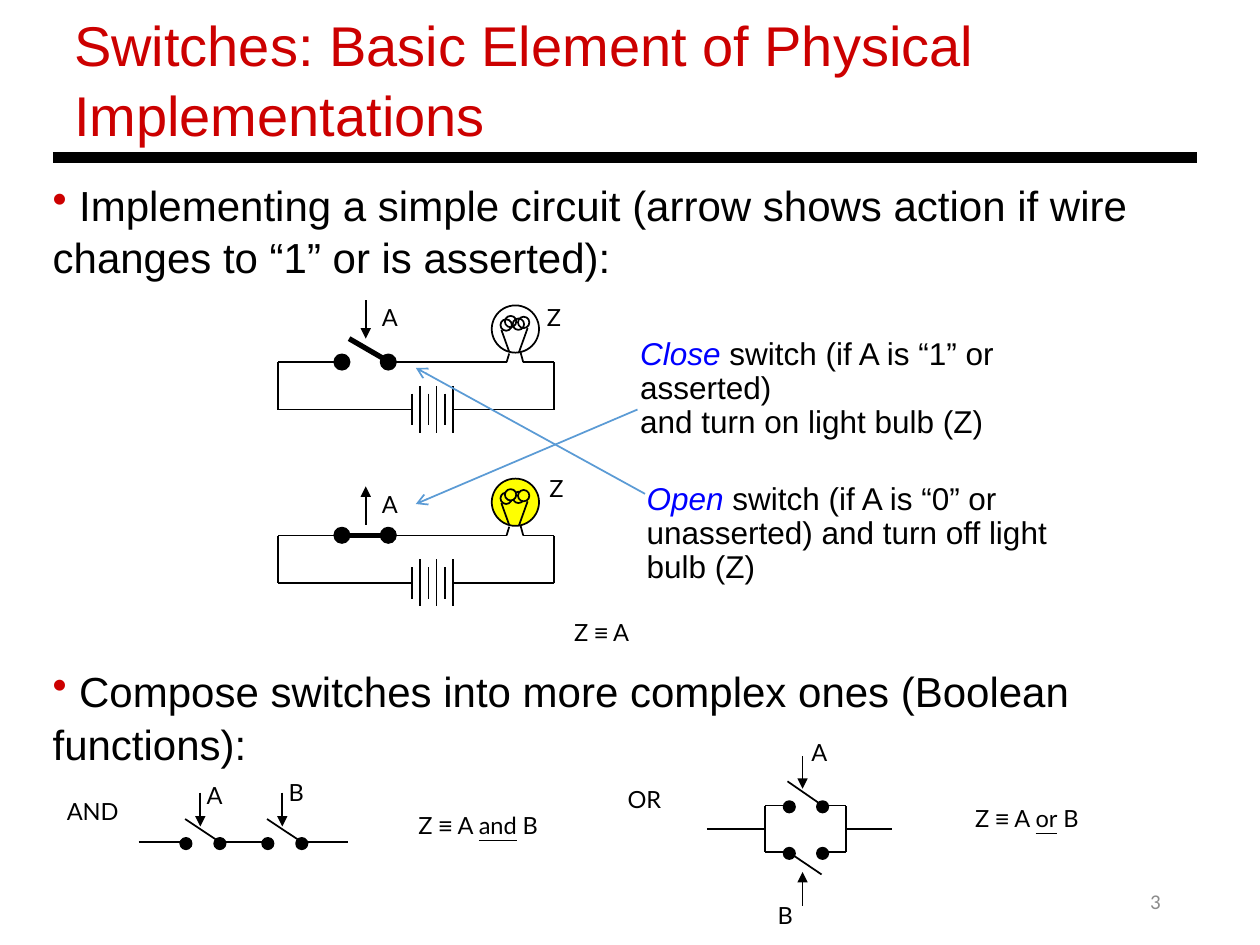
"""Build a slide on switches as the basic element of physical implementations."""
from lxml.etree import SubElement
from pptx import Presentation
from pptx.dml.color import RGBColor
from pptx.enum.shapes import MSO_CONNECTOR, MSO_SHAPE
from pptx.enum.text import MSO_ANCHOR, MSO_AUTO_SIZE, PP_ALIGN
from pptx.oxml.ns import qn
from pptx.util import Pt

BLACK = RGBColor(0x00, 0x00, 0x00)
WHITE = RGBColor(0xFF, 0xFF, 0xFF)
RED = RGBColor(0xCC, 0x00, 0x00)
BLUE = RGBColor(0x00, 0x00, 0xFF)
YELLOW = RGBColor(0xFF, 0xFF, 0x00)
GREY = RGBColor(0x8C, 0x8C, 0x8C)
ARROW_BLUE = RGBColor(0x5B, 0x9B, 0xD5)

INSETS = ("margin_left", "margin_top", "margin_right", "margin_bottom")
LABEL_FRAME = {"word_wrap": False, **dict.fromkeys(INSETS, Pt(1.5))}
FITTED_FRAME = {"word_wrap": True, "auto_size": MSO_AUTO_SIZE.SHAPE_TO_FIT_TEXT}
LABEL_LINE = {"line_spacing": Pt(19.5)}
LABEL_FONT = {"name": "Lato", "size": Pt(13.5)}
SIGN_FONT = {"name": "Arial", "size": Pt(13.5)}
NOTE_FONT = {"name": "Arial", "size": Pt(18)}


def set_values(target, values):
    """Set each named attribute of the target."""
    for name, value in values.items():
        setattr(target, name, value)


def add_line(shapes, start, stop, width=1, color=BLACK, **ends):
    """Draw a straight line, with head or tail arrow types if given."""
    line = shapes.add_connector(
        MSO_CONNECTOR.STRAIGHT, *(Pt(value) for value in (*start, *stop)))
    line.line.width = Pt(width)
    line.line.color.rgb = color
    properties = line._element.spPr
    outline = properties.find(qn("a:ln"))
    for end in ("head", "tail"):
        if end in ends:
            SubElement(outline, qn(f"a:{end}End"), type=ends[end])
    SubElement(properties, qn("a:effectLst"))


def add_circle(shapes, left, top, size, fill=None):
    """Draw an outlined circle, hollow when no fill is given."""
    circle = shapes.add_shape(MSO_SHAPE.OVAL, Pt(left), Pt(top), Pt(size), Pt(size))
    circle.shadow.inherit = False
    circle.line.color.rgb = BLACK
    circle.line.width = Pt(1)
    if fill is None:
        circle.fill.background()
    else:
        circle.fill.solid()
        circle.fill.fore_color.rgb = fill


def add_span(paragraph, text, font, color=BLACK):
    """Add one run of text, with a line break at each newline."""
    for index, part in enumerate(text.split("\n")):
        if index:
            paragraph.add_line_break()
        span = paragraph.add_run()
        span.text = part
        set_values(span.font, font)
        span.font.color.rgb = color


def add_text(shapes, area, spans, frame=LABEL_FRAME, layout=LABEL_LINE):
    """Add a text box with one paragraph and return its frame."""
    box = shapes.add_textbox(*(Pt(value) for value in area))
    set_values(box.text_frame, frame)
    paragraph = box.text_frame.paragraphs[0]
    set_values(paragraph, layout)
    for span in spans:
        add_span(paragraph, *span)
    return box.text_frame


def add_label(shapes, left, top, text, width=32):
    """Add a short circuit label."""
    add_text(shapes, (left, top, width, 27), [(text, LABEL_FONT)])


def add_bullet(paragraph):
    """Give the paragraph a red bullet without indent."""
    properties = paragraph._p.get_or_add_pPr()
    properties.set("marL", "0")
    properties.set("indent", "0")
    color = SubElement(properties, qn("a:buClr"))
    SubElement(color, qn("a:srgbClr"), val=str(RED))
    SubElement(properties, qn("a:buChar"), char="•")


def add_header(shapes):
    """Add the title, its rule and the page number."""
    add_text(shapes, (35.3, 0.7, 554.4, 85),
             [("Switches: Basic Element of Physical Implementations",
               {"name": "Arial", "size": Pt(32)}, RED)],
             FITTED_FRAME, {"line_spacing": 1.04})
    add_line(shapes, (30.2, 90), (684, 90), 6)
    add_text(shapes, (508.3, 500.4, 162, 28.8),
             [("3", {"name": "Calibri", "size": Pt(12)}, GREY)],
             {"word_wrap": True, "vertical_anchor": MSO_ANCHOR.MIDDLE},
             {"alignment": PP_ALIGN.RIGHT})


def add_body(shapes):
    """Add the two bullets, leaving room between them for the circuits."""
    font = {"name": "Arial", "size": Pt(24)}
    frame = add_text(
        shapes, (23, 97.9, 680.4, 414.7),
        [(" Implementing a simple circuit (arrow shows action if wire changes "
          "to “1” or is asserted):", font)],
        {"word_wrap": True}, {"line_spacing": 1.04})
    second = frame.add_paragraph()
    set_values(second, {"line_spacing": 1.04, "space_before": Pt(218)})
    add_span(second, " Compose switches into more complex ones (Boolean functions):", font)
    for paragraph in frame.paragraphs:
        add_bullet(paragraph)


def add_bulb(page, y, glass, filament):
    """Add a light bulb standing on the wire at height y."""
    shapes = page.shapes.add_group_shape().shapes
    add_circle(shapes, 281, y - 32.5, 27, glass)
    for left, rise in ((286, 24.5), (293, 25), (296, 26), (288.5, 26.5)):
        add_circle(shapes, left, y - rise, 6.5, filament)
    for x1, rise1, x2, rise2 in (
            (286.5, 18.5, 291, 6), (301.5, 19.5, 296.5, 5.5), (291, 5, 289.5, 0),
            (297.5, 5.5, 299, 0), (299, 0, 316.75, 0), (289.5, 0, 271.25, 0)):
        add_line(shapes, (x1, y - rise1), (x2, y - rise2))


def add_circuit(page, y, lever, glass, filament):
    """Add a battery circuit with its switch and bulb; y is the upper wire."""
    low = y + 27
    for start, stop in (
            ((222.75, y), (271.25, y)), ((316.75, y), (316.75, low)),
            ((316.75, low), (258.75, low)), ((235.5, low), (159, low)),
            ((159, low), (159, y)), ((159, y), (195, y))):
        add_line(page.shapes, start, stop)
    add_bulb(page, y, glass, filament)
    switch = page.shapes.add_group_shape().shapes
    add_line(switch, (222.75, y), lever, 3)
    for left in (217.5, 191):
        add_circle(switch, left, y - 4.5, 8.75, BLACK)
    battery = page.shapes.add_group_shape().shapes
    for plate in range(6):
        x = 235.5 + 4.65 * plate
        half = 13.5 if plate % 2 else 9
        add_line(battery, (x, low - half), (x, low + half))


def add_note(page, area, word, rest, start, stop):
    """Add an explanation and the arrow to the circuit it describes."""
    shapes = page.shapes.add_group_shape().shapes
    add_text(shapes, area, [(word, {**NOTE_FONT, "italic": True}, BLUE),
                            (rest, NOTE_FONT)])
    add_line(shapes, start, stop, color=ARROW_BLUE, tail="arrow")


def add_formula(shapes, area, operator):
    """Add the Boolean formula with its underlined operator."""
    add_text(shapes, area, [
        ("Z ", LABEL_FONT), ("≡", SIGN_FONT), (" A ", LABEL_FONT),
        (operator, {**LABEL_FONT, "underline": True}), (" B", LABEL_FONT)])


def add_and_gate(page):
    """Add two switches in series."""
    shapes = page.shapes
    step = 46.8
    wires = shapes.add_group_shape().shapes
    for index in range(3):
        x = 79.2 + step * index
        add_line(wires, (x, 481), (x + 26, 481))
    for x in (105.8, 105.8 + step):
        add_line(wires, (x, 468), (x + 19.5, 481))
        add_line(shapes, (x + 8.7, 453), (x + 8.7, 472.3), tail="triangle")
        for shift in (-2.8, 16.6):
            add_circle(shapes, x + shift, 478.8, 6.5, BLACK)
    add_label(shapes, 36.7, 450.7, "AND", 53)
    add_label(shapes, 116.6, 441.4, "A")
    add_label(shapes, 163.4, 439.9, "B")
    add_formula(shapes, (237.6, 458.6, 93, 34.6), "and")


def add_or_gate(page):
    """Add two switches in parallel."""
    shapes = page.shapes
    left, right, top, middle, bottom = 437, 483.3, 460.3, 473.8, 487
    for start, stop in (
            ((404, middle), (left, middle)), ((left, top), (left, bottom)),
            ((left, bottom), (450, bottom)), ((450.7, bottom), (469.5, 499.7)),
            ((470, bottom), (right, bottom)), ((right, bottom), (right, top)),
            ((right, top), (469.5, top)), ((470, top), (450, 446.5)),
            ((450.7, top), (left, top)), ((right, middle), (510, middle))):
        add_line(shapes, start, stop)
    add_line(shapes, (458.6, 432), (458.6, 450.7), tail="triangle")
    add_line(shapes, (458.6, 498.3), (458.6, 517.7), head="triangle")
    for x in (447.8, 466.8):
        for y in (457.8, 484.4):
            add_circle(shapes, x, y, 6.5, BLACK)
    add_label(shapes, 357.2, 443.5, "OR", 45)
    add_label(shapes, 462.2, 416.9, "A")
    add_label(shapes, 442.8, 509.8, "B")
    add_formula(shapes, (555.8, 454.3, 86, 34.6), "or")


def main():
    """Build and save the slide."""
    deck = Presentation()
    set_values(deck, {"slide_width": Pt(720), "slide_height": Pt(540)})
    page = deck.slides.add_slide(deck.slide_layouts[6])
    shapes = page.shapes
    add_header(shapes)
    add_body(shapes)
    add_circuit(page, 207, (199.5, 193.5), WHITE, None)
    add_circuit(page, 306, (195, 306), YELLOW, YELLOW)
    add_line(shapes, (209, 171.5), (209, 193.5), tail="triangle")
    add_line(shapes, (209, 278), (209, 300), head="triangle")
    for left, top, text in ((216.7, 168.5, "A"), (311, 168.5, "Z"),
                            (216.7, 275, "A"), (312.5, 265.7, "Z")):
        add_label(shapes, left, top, text)
    add_note(page, (364.3, 191.5, 240.5, 60.5), "Close ",
             "switch (if A is “1” or asserted)\nand turn on light bulb (Z)",
             (364.3, 234), (237.6, 288))
    add_note(page, (368, 274.3, 240.5, 60.5), "Open ",
             "switch (if A is “0” or\nunasserted) and turn off light\nbulb (Z)",
             (368.6, 282.2), (237.6, 210.2))
    add_text(shapes, (321, 346.3, 54.7, 27.4),
             [("Z ", LABEL_FONT), ("≡", SIGN_FONT), (" A", LABEL_FONT)],
             {**FITTED_FRAME, "word_wrap": False})
    add_and_gate(page)
    add_or_gate(page)
    deck.save("out.pptx")


if __name__ == "__main__":
    main()
